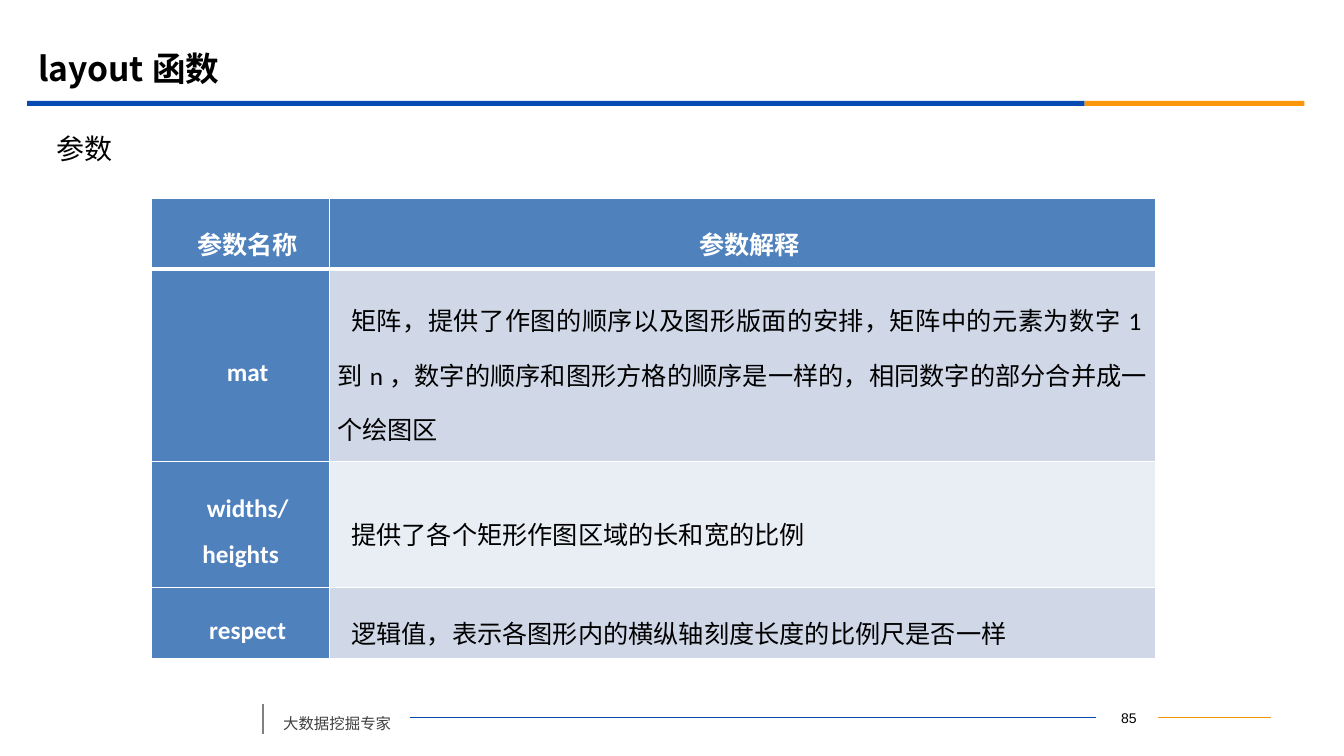
import pptx
import pptx.dml.color
import pptx.enum.shapes
import pptx.enum.text
import pptx.oxml
import pptx.oxml.ns
import pptx.util

Pt = pptx.util.Pt
RGB = pptx.dml.color.RGBColor
ALIGN = pptx.enum.text.PP_ALIGN
MIDDLE = pptx.enum.text.MSO_ANCHOR.MIDDLE
TOP = pptx.enum.text.MSO_ANCHOR.TOP
qn = pptx.oxml.ns.qn

BLACK = RGB(0x00, 0x00, 0x00)
WHITE = RGB(0xFF, 0xFF, 0xFF)
BLUE = RGB(0x06, 0x4B, 0xB2)
ORANGE = RGB(0xFB, 0x97, 0x08)
DARK_ORANGE = RGB(0xF1, 0x95, 0x00)
GREY = RGB(0x80, 0x80, 0x80)
DARK_GREY = RGB(0x40, 0x40, 0x40)
HEAD_FILL = RGB(0x4F, 0x81, 0xBD)
BANDS = [RGB(0xD0, 0xD8, 0xE8), RGB(0xE9, 0xED, 0xF4)]
CJK = "Noto Sans CJK SC"

ROWS = [
    ("参数名称", "参数解释"),
    ("mat", "矩阵，提供了作图的顺序以及图形版面的安排，矩阵中的元素为数字1到n，"
            "数字的顺序和图形方格的顺序是一样的，相同数字的部分合并成一个绘图区"),
    ("widths/heights", "提供了各个矩形作图区域的长和宽的比例"),
    ("respect", "逻辑值，表示各图形内的横纵轴刻度长度的比例尺是否一样"),
]


def put_text(tf, text, size=18, font=CJK, color=BLACK, bold=False,
             align=ALIGN.LEFT, spacing=None, before=None, indent=None):
    """Write one formatted paragraph into a text frame."""
    tf.word_wrap = True
    p = tf.paragraphs[0]
    p.alignment = align
    if spacing:
        p.line_spacing = spacing
    if before:
        p.space_before = Pt(before)
    if indent:
        pPr = p._p.get_or_add_pPr()
        pPr.set("marL", "0")
        pPr.set("indent", str(Pt(indent)))
    r = p.add_run()
    r.text = text
    r.font.size = Pt(size)
    r.font.name = font
    r.font.bold = bold
    r.font.color.rgb = color
    ea = pptx.oxml.parse_xml(
        f'<a:ea {pptx.oxml.ns.nsdecls("a")} typeface="{CJK}"/>')
    r._r.rPr.find(qn("a:latin")).addnext(ea)


def add_text(s, x, y, w, h, text, anchor=MIDDLE, **fmt):
    """Add a text box with one paragraph."""
    tf = s.shapes.add_textbox(Pt(x), Pt(y), Pt(w), Pt(h)).text_frame
    tf.vertical_anchor = anchor
    put_text(tf, text, **fmt)


def add_line(s, x1, y1, x2, y2, color, width):
    """Add a straight line without shadow."""
    sp = s.shapes.add_connector(pptx.enum.shapes.MSO_CONNECTOR.STRAIGHT,
                                Pt(x1), Pt(y1), Pt(x2), Pt(y2))
    sp.line.color.rgb = color
    sp.line.width = Pt(width)
    sp._element.spPr.append(pptx.oxml.parse_xml(
        f'<a:effectLst {pptx.oxml.ns.nsdecls("a")}/>'))


def add_bar(s, x, y, w, h, color):
    """Add a plain filled rectangle."""
    sp = s.shapes.add_shape(pptx.enum.shapes.MSO_SHAPE.RECTANGLE,
                            Pt(x), Pt(y), Pt(w), Pt(h))
    sp.shadow.inherit = False
    sp.fill.solid()
    sp.fill.fore_color.rgb = color
    sp.line.fill.background()


def add_header(s, x, y, w, title):
    """Place the title above its two-colour rule."""
    blue_w = 755.3
    add_text(s, x + 0.7, y, 864, 41.8, title, size=24, bold=True)
    add_bar(s, x, y + 44, blue_w, 3.6, BLUE)
    add_bar(s, x + blue_w, y + 44, w - blue_w, 3.6, ORANGE)


def add_footer(s, x, y, w, label, number):
    """Place the footer label, rules and page number."""
    mid = y + 10
    add_line(s, x, y, x, y + 21.6, GREY, 1.25)
    add_text(s, x + 7.2, y - 2.9, 97.9, 27.4, label, anchor=TOP, size=11,
             color=DARK_GREY, spacing=1.5, before=6)
    add_line(s, x + 105.1, mid, x + w - 125.3, mid, BLUE, 0.75)
    add_text(s, x + w - 125.3, mid - 9, 44.6, 18, number, size=10,
             font="Arial", align=ALIGN.CENTER)
    add_line(s, x + w - 80.7, mid, x + w, mid, DARK_ORANGE, 0.75)


def set_borders(cell, **widths):
    """Give a cell white borders of the given widths."""
    tcPr = cell._tc.get_or_add_tcPr()
    for side, width in widths.items():
        tcPr.append(pptx.oxml.parse_xml(
            f'<a:ln{side} {pptx.oxml.ns.nsdecls("a")} w="{Pt(width)}">'
            f'<a:solidFill><a:srgbClr val="{WHITE}"/></a:solidFill></a:ln{side}>'))


def add_parameters(s, x, y, col_widths, row_heights):
    """Build the table of parameters."""
    table = s.shapes.add_table(len(ROWS), 2, Pt(x), Pt(y), Pt(sum(col_widths)),
                               Pt(sum(row_heights))).table
    for col, width in zip(table.columns, col_widths):
        col.width = Pt(width)
    for i, (names, height) in enumerate(zip(ROWS, row_heights)):
        table.rows[i].height = Pt(height)
        for j, text in enumerate(names):
            cell = table.cell(i, j)
            head = i == 0 or j == 0
            set_borders(cell, L=1, R=1, T=3 if i == 1 else 1, B=3 if i == 0 else 1)
            cell.fill.solid()
            cell.fill.fore_color.rgb = HEAD_FILL if head else BANDS[(i - 1) % 2]
            cell.vertical_anchor = MIDDLE
            cell.margin_left = cell.margin_right = Pt(5.4)
            cell.margin_top = cell.margin_bottom = 0
            put_text(cell.text_frame, text, font="Calibri", bold=head,
                     color=WHITE if head else BLACK, spacing=1.5, indent=10,
                     align=ALIGN.CENTER if head else ALIGN.JUSTIFY)


def main():
    """Build and save the slide."""
    prs = pptx.Presentation()
    prs.slide_width, prs.slide_height = Pt(960), Pt(540)
    s = prs.slides.add_slide(prs.slide_layouts[6])
    add_footer(s, 188, 502.6, 720, "大数据挖掘专家", " 85")
    add_header(s, 19.4, 28, 912.3, "layout函数")
    add_text(s, 33, 89.3, 875, 33.8, "参数", size=20, before=4)
    add_parameters(s, 108.3, 142, [127.2, 589.6], [50.2, 137.3, 90.4, 50.4])
    prs.save("out.pptx")


if __name__ == "__main__":
    main()
